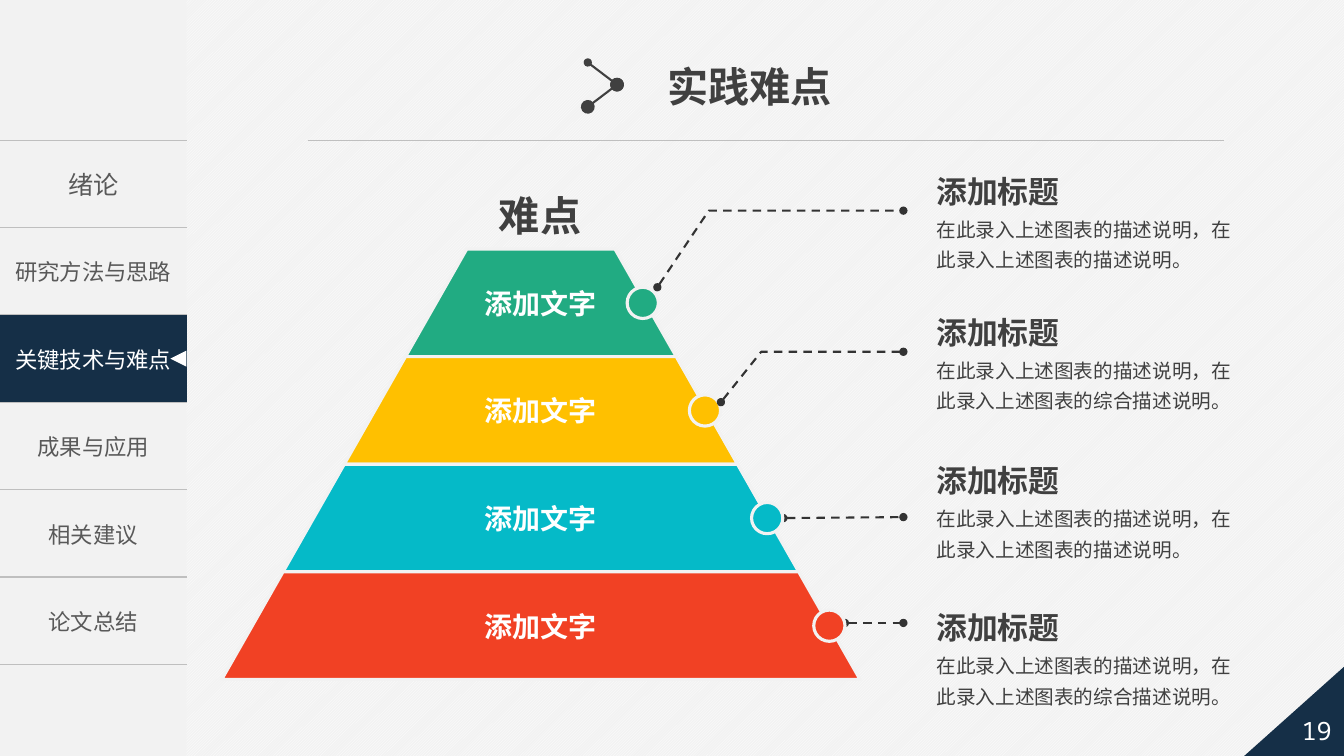
from lxml.etree import SubElement
from pptx import Presentation
from pptx.dml.color import RGBColor
from pptx.enum.dml import MSO_LINE, MSO_PATTERN
from pptx.enum.shapes import MSO_CONNECTOR, MSO_SHAPE
from pptx.enum.text import MSO_ANCHOR, MSO_AUTO_SIZE, PP_ALIGN
from pptx.oxml import parse_xml
from pptx.oxml.ns import nsdecls, qn
from pptx.util import Inches, Pt

COLORS = {
    "paper": "F2F2F2", "white": "FFFFFF", "navy": "152F47", "rule": "BFBFBF",
    "menu": "595959", "text": "404040", "leader": "333333",
    "green": "21AB82", "yellow": "FFC000", "cyan": "05BAC8", "red": "F14124",
}
COLORS = {name: RGBColor.from_string(value) for name, value in COLORS.items()}
SANS = "Noto Sans CJK SC"


def write_text(frame, text, size=14, color="text", font=SANS, bold=False,
               align=PP_ALIGN.LEFT, anchor=MSO_ANCHOR.TOP, wrap=True, spacing=None):
    frame.word_wrap = wrap
    frame.auto_size = MSO_AUTO_SIZE.NONE
    frame.vertical_anchor = anchor
    para = frame.paragraphs[0]
    para.alignment = align
    para.line_spacing = spacing
    span = para.add_run()
    span.text = text
    span.font.size = Pt(size)
    span.font.bold = bold
    span.font.name = font
    span.font.color.rgb = COLORS[color]
    SubElement(span.font._element, qn("a:ea")).set("typeface", font)


def draw_line(shape, color, width, dash=None, ends=()):
    """Style a line without shadow; ends gives the sizes of its two dots."""
    shape.line.color.rgb = COLORS[color]
    shape.line.width = Pt(width)
    if dash:
        shape.line.dash_style = dash
    outline = shape.line._get_or_add_ln()
    for tag, dot in zip(("a:headEnd", "a:tailEnd"), ends):
        end = SubElement(outline, qn(tag))
        end.set("type", "oval")
        end.set("w", dot)
        end.set("len", dot)
    SubElement(shape._element.spPr, qn("a:effectLst"))


deck = Presentation()
deck.slide_width, deck.slide_height = Inches(13.33), Inches(7.5)
slide = deck.slides.add_slide(deck.slide_layouts[5])
shapes = slide.shapes

backdrop = slide.background.fill
backdrop.patterned()
backdrop.pattern = MSO_PATTERN.LIGHT_UPWARD_DIAGONAL
backdrop.fore_color.rgb = COLORS["white"]
backdrop.back_color.rgb = COLORS["paper"]

# Side menu
MENU = ["绪论", "研究方法与思路", "关键技术与难点", "成果与应用", "相关建议", "论文总结"]
ACTIVE = 2
MENU_WIDTH, MENU_TOP, ROW = 1.85, 1.39, 0.867

sidebar = shapes.add_shape(MSO_SHAPE.RECTANGLE, 0, 0, Inches(MENU_WIDTH), deck.slide_height)
sidebar.shadow.inherit = False
sidebar.fill.solid()
sidebar.fill.fore_color.rgb = COLORS["paper"]
sidebar.line.fill.background()

menu = shapes.add_table(len(MENU), 1, 0, Inches(MENU_TOP), Inches(MENU_WIDTH),
                        Inches(ROW * len(MENU))).table
menu.first_row = menu.horz_banding = False
for index, label in enumerate(MENU):
    cell = menu.cell(index, 0)
    active = index == ACTIVE
    write_text(cell.text_frame, label, size=16 if index else 18,
               color="white" if active else "menu", align=PP_ALIGN.CENTER)
    cell.vertical_anchor = MSO_ANCHOR.MIDDLE
    if active:
        cell.fill.solid()
        cell.fill.fore_color.rgb = COLORS["navy"]
    else:
        cell.fill.background()
    rule = f'<a:solidFill><a:srgbClr val="{COLORS["rule"]}"/></a:solidFill>'
    borders = {"lnL": "<a:noFill/>", "lnR": "<a:noFill/>", "lnT": rule, "lnB": rule}
    for place, (tag, paint) in enumerate(borders.items()):
        border = parse_xml(f'<a:{tag} {nsdecls("a")} w="12700">{paint}</a:{tag}>')
        cell._tc.get_or_add_tcPr().insert(place, border)

pointer = shapes.add_shape(MSO_SHAPE.ISOSCELES_TRIANGLE, Inches(MENU_WIDTH - 0.16),
                           Inches(MENU_TOP + (ACTIVE + 0.5) * ROW - 0.08),
                           Inches(0.16), Inches(0.16))
pointer.rotation = 270
corner = shapes.add_shape(MSO_SHAPE.RIGHT_TRIANGLE, Inches(12.33), Inches(6.58),
                          Inches(1.04), Inches(0.93))
corner._element.spPr.find(qn("a:xfrm")).set("flipH", "1")
for triangle, color in ((pointer, "white"), (corner, "navy")):
    triangle.shadow.inherit = False
    triangle.fill.solid()
    triangle.fill.fore_color.rgb = COLORS[color]
    triangle.line.fill.background()

page_number = shapes.add_textbox(Inches(12.76), Inches(6.97), Inches(0.6), Inches(0.55))
write_text(page_number.text_frame, "19", size=18, color="white", font="Noto Sans Mono",
           align=PP_ALIGN.CENTER, anchor=MSO_ANCHOR.MIDDLE, wrap=False)

# Heading
title = shapes.title
title.left, title.top, title.width, title.height = map(Inches, (6.52, 0.56, 1.85, 0.59))
write_text(title.text_frame, "实践难点", size=29.4, font="Arial", bold=True, wrap=False)

MED, LARGE = "med", "lg"
DASH = MSO_LINE.DASH
straight_lines = [
    ((3.05, 1.39, 12.14, 1.39), "rule", 0.5, None, ()),
    ((5.83, 0.62, 6.12, 0.84), "text", 1.5, None, (MED, LARGE)),
    ((6.12, 0.84, 5.83, 1.06), "text", 1.5, None, (LARGE, LARGE)),
    ((7.77, 5.14, 8.96, 5.13), "leader", 1.5, DASH, (MED, MED)),
    ((8.38, 6.18, 8.96, 6.18), "leader", 1.5, DASH, (MED, MED)),
]
for ends, color, width, dash, dots in straight_lines:
    line = shapes.add_connector(MSO_CONNECTOR.STRAIGHT, *map(Inches, ends))
    draw_line(line, color, width, dash, dots)

# Pyramid: each tier widens by the same step on both sides
CENTER, PEAK, TIER = 5.365, 2.47, 1.0675
HALF_TOP, STEP = 0.735, 0.6075
DOT = 0.31
tiers = ["green", "yellow", "cyan", "red"]

for index, color in enumerate(tiers):
    top, bottom = PEAK + index * TIER, PEAK + (index + 1) * TIER
    upper = HALF_TOP + index * STEP
    lower = upper + STEP
    corners = [(CENTER + upper, top), (CENTER + lower, bottom), (CENTER - lower, bottom)]
    builder = shapes.build_freeform(Inches(CENTER - upper), Inches(top))
    builder.add_line_segments([(Inches(x), Inches(y)) for x, y in corners])
    tier = builder.convert_to_shape()
    dot = shapes.add_shape(MSO_SHAPE.OVAL, Inches(6.22 + index * 0.617),
                           Inches(2.85 + index * TIER), Inches(DOT), Inches(DOT))
    for part in (tier, dot):
        part.fill.solid()
        part.fill.fore_color.rgb = COLORS[color]
        draw_line(part, "paper", 2.25)
    label = shapes.add_textbox(Inches(CENTER - 1.565), Inches(2.81 + index * TIER),
                               Inches(3.13), Inches(0.4))
    label.text_frame.margin_top = label.text_frame.margin_bottom = Inches(0.03)
    write_text(label.text_frame, "添加文字", size=20, color="white", bold=True,
               align=PP_ALIGN.CENTER)

peak_label = shapes.add_textbox(Inches(4.85), Inches(1.84), Inches(1.03), Inches(0.59))
write_text(peak_label.text_frame, "难点", size=29.4, font="Arial", bold=True, wrap=False)

# Bent leaders and descriptions
for start, *bends in [[(6.52, 2.85), (7.03, 2.09), (8.96, 2.09)],
                      [(7.15, 3.99), (7.55, 3.49), (8.96, 3.49)]]:
    builder = shapes.build_freeform(*map(Inches, start))
    builder.add_line_segments([(Inches(x), Inches(y)) for x, y in bends], close=False)
    leader = builder.convert_to_shape()
    leader.fill.background()
    draw_line(leader, "leader", 1.5, DASH, (MED, MED))

SHORT = "在此录入上述图表的描述说明，在此录入上述图表的描述说明。"
LONG = "在此录入上述图表的描述说明，在此录入上述图表的综合描述说明。"
for top, description in [(1.66, SHORT), (3.06, LONG), (4.53, SHORT), (5.99, LONG)]:
    heading = shapes.add_textbox(Inches(9.19), Inches(top), Inches(1.44), Inches(0.47))
    write_text(heading.text_frame, "添加标题", size=22, bold=True, wrap=False)
    body = shapes.add_textbox(Inches(9.19), Inches(top + 0.38), Inches(3.26), Inches(0.68))
    write_text(body.text_frame, description, spacing=1.3)

deck.save("out.pptx")
